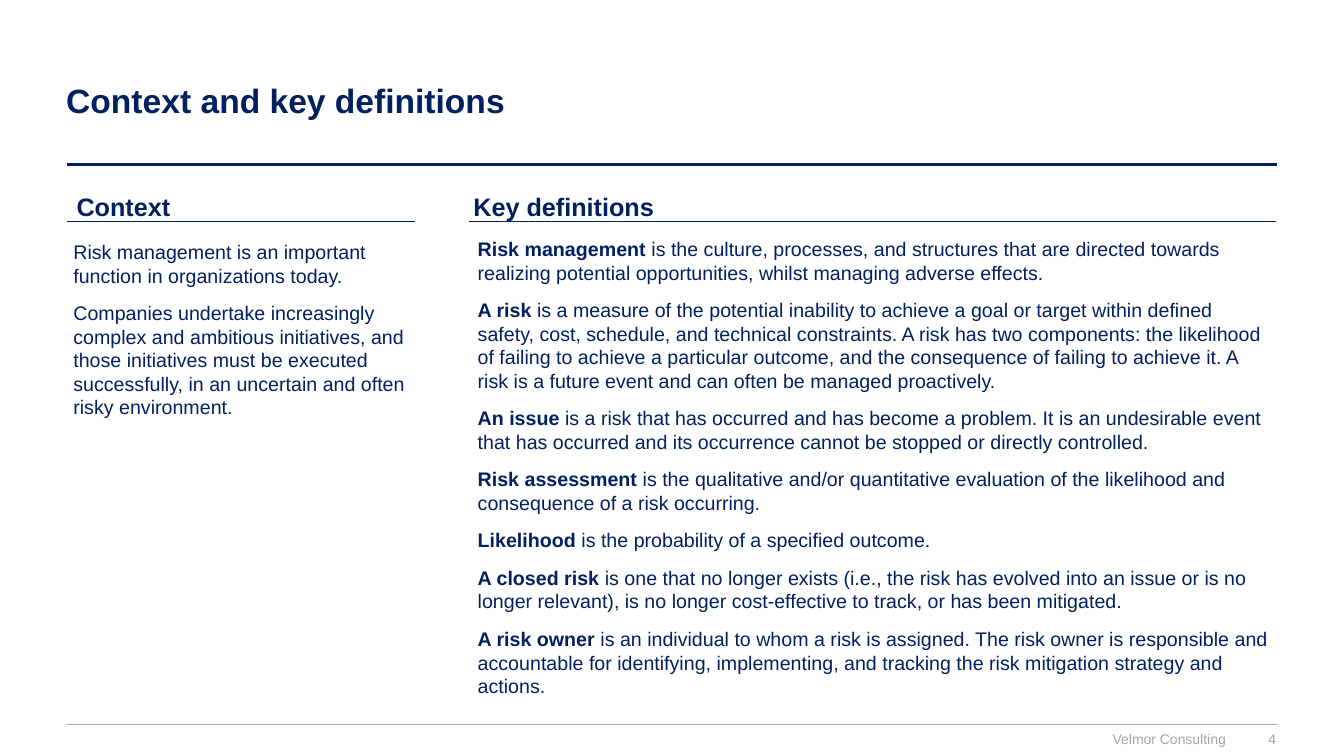
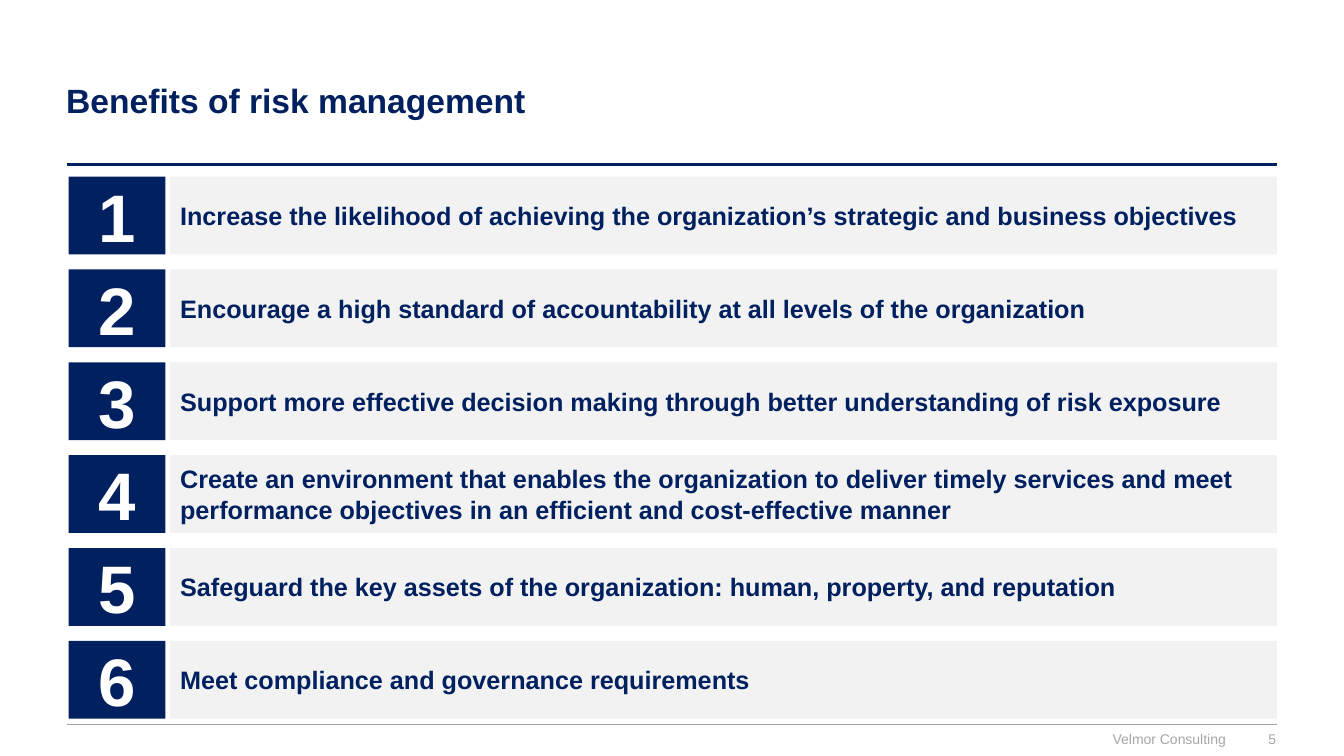
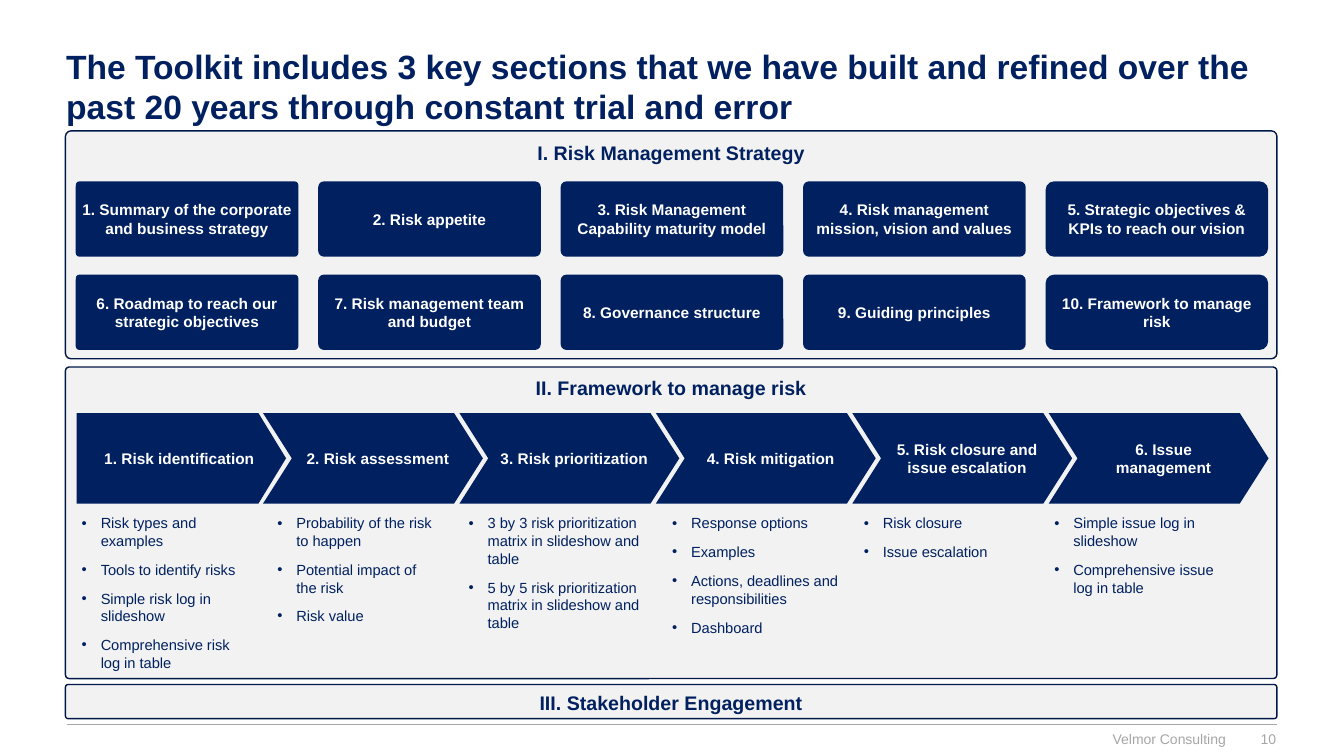
from lxml.etree import SubElement
from pptx import Presentation
from pptx.dml.color import RGBColor
from pptx.enum.shapes import MSO_CONNECTOR, MSO_SHAPE as SHAPE
from pptx.enum.text import MSO_ANCHOR as ANCHOR, PP_ALIGN as ALIGN
from pptx.oxml.ns import qn
from pptx.util import Cm, Pt

FONT = "Arial"
COLORS = {"navy": "002060", "edge": "001847", "pale": "F2F2F2", "gray": "A6A6A6", "white": "FFFFFF"}
LEFT, RIGHT = 1.68, 32.18
FIRM = "Velmor Consulting"

CONTEXT = [
    "Risk management is an important function in organizations today.",
    "Companies undertake increasingly complex and ambitious initiatives, and those initiatives "
    "must be executed successfully, in an uncertain and often risky environment.",
]
TERMS = [
    ("Risk management", "is the culture, processes, and structures that are directed towards "
     "realizing potential opportunities, whilst managing adverse effects."),
    ("A risk", "is a measure of the potential inability to achieve a goal or target within defined "
     "safety, cost, schedule, and technical constraints. A risk has two components: the likelihood "
     "of failing to achieve a particular outcome, and the consequence of failing to achieve it. "
     "A risk is a future event and can often be managed proactively."),
    ("An issue", "is a risk that has occurred and has become a problem. It is an undesirable event "
     "that has occurred and its occurrence cannot be stopped or directly controlled."),
    ("Risk assessment", "is the qualitative and/or quantitative evaluation of the likelihood and "
     "consequence of a risk occurring."),
    ("Likelihood", "is the probability of a specified outcome."),
    ("A closed risk", "is one that no longer exists (i.e., the risk has evolved into an issue or is "
     "no longer relevant), is no longer cost-effective to track, or has been mitigated."),
    ("A risk owner", "is an individual to whom a risk is assigned. The risk owner is responsible and "
     "accountable for identifying, implementing, and tracking the risk mitigation strategy and actions."),
]
BENEFITS = [
    "Increase the likelihood of achieving the organization’s strategic and business objectives",
    "Encourage a high standard of accountability at all levels of the organization",
    "Support more effective decision making through better understanding of risk exposure",
    "Create an environment that enables the organization to deliver timely services and meet "
    "performance objectives in an efficient and cost-effective manner",
    "Safeguard the key assets of the organization: human, property, and reputation",
    "Meet compliance and governance requirements",
]
# Title, top, height, corner
PANELS = [
    ("I. Risk Management Strategy", 3.3, 5.74, 0.024),
    ("II. Framework to manage risk", 9.25, 7.85, 0.012),
    ("III. Stakeholder Engagement", 17.25, 0.86, 0.081),
]
TOOLS = [
    "Summary of the corporate and business strategy", "Risk appetite",
    "Risk Management Capability maturity model", "Risk management mission, vision and values",
    "Strategic objectives & KPIs to reach our vision", "Roadmap to reach our strategic objectives",
    "Risk management team and budget", "Governance structure", "Guiding principles",
    "Framework to manage risk",
]
CORNERS = [0.051, 0.077, 0.077, 0.077, 0.115]
# Step, left and width of its list, list
STEPS = [
    ("Risk identification", 2.06, 4.45, ["Risk types and examples", "Tools to identify risks",
     "Simple risk log in slideshow", "Comprehensive risk log in table"]),
    ("Risk assessment", 6.99, 4.34, ["Probability of the risk to happen",
     "Potential impact of the risk", "Risk value"]),
    ("Risk prioritization", 11.81, 4.62, [f"{n} by {n} risk prioritization matrix in slideshow and table"
                                         for n in (3, 5)]),
    ("Risk mitigation", 16.94, 4.5, ["Response options", "Examples",
     "Actions, deadlines and responsibilities", "Dashboard"]),
    ("Risk closure and issue escalation", 21.77, 4.5, ["Risk closure", "Issue escalation"]),
    ("Issue management", 26.57, 4.6, ["Simple issue log in slideshow",
     "Comprehensive issue log in table"]),
]


def color(name):
    return RGBColor.from_string(COLORS[name])


def write(shape, paras, size, ink="navy", bold=False, align=ALIGN.LEFT, anchor=ANCHOR.TOP,
          pad=(0.25, 0.13, 0.25, 0.13), gap=0, bullet=False):
    """Fill a shape with paragraphs; a (lead, rest) pair gets a bold lead."""
    frame = shape.text_frame
    frame.word_wrap, frame.vertical_anchor = True, anchor
    for side, inset in zip(("left", "top", "right", "bottom"), pad):
        setattr(frame, "margin_" + side, Cm(inset))
    for i, item in enumerate(paras):
        para = frame.add_paragraph() if i else frame.paragraphs[0]
        para.alignment = align
        if i and gap:
            para.space_before = Pt(gap)
        if bullet:
            props = para._p.get_or_add_pPr()
            props.set("marL", str(Cm(0.48)))
            props.set("indent", str(-Cm(0.48)))
            SubElement(props, qn("a:buFont")).set("typeface", FONT)
            SubElement(props, qn("a:buChar")).set("char", "•")
        runs = [(item, bold)] if isinstance(item, str) else [(item[0] + " ", True), (item[1], False)]
        for text, heavy in runs:
            run = para.add_run()
            run.text = text
            look = {"name": FONT, "size": Pt(size), "bold": heavy}
            for key, value in look.items():
                setattr(run.font, key, value)
            run.font.color.rgb = color(ink)


def label(slide, box, paras, size, **style):
    write(slide.shapes.add_textbox(*map(Cm, box)), paras, size, **style)


def block(slide, kind, box, fill, text, size, edge=None, adj=None, **style):
    shape = slide.shapes.add_shape(kind, *map(Cm, box))
    shape.shadow.inherit = False
    shape.fill.solid()
    shape.fill.fore_color.rgb = color(fill)
    if edge:
        shape.line.color.rgb = color(edge)
        shape.line.width = Pt(1)
    else:
        shape.line.fill.background()
    if adj is not None:
        shape.adjustments[0] = adj
    write(shape, [text], size, bold=True, **style)


def rule(slide, x1, x2, y, ink, width):
    line = slide.shapes.add_connector(MSO_CONNECTOR.STRAIGHT, Cm(x1), Cm(y), Cm(x2), Cm(y))
    line.line.color.rgb = color(ink)
    line.line.width = Pt(width)
    SubElement(line._element.spPr, qn("a:effectLst"))


def start(deck, title, number, anchor=ANCHOR.MIDDLE):
    """Add a slide with its title, rules and footer."""
    slide = deck.slides.add_slide(deck.slide_layouts[6])
    rule(slide, LEFT, RIGHT, 4.14, "navy", 2)
    rule(slide, LEFT, RIGHT, 18.26, "gray", 1)
    label(slide, (1.42, 1.02, 30.76, 3), [title], 24, bold=True, anchor=anchor)
    foot = {"ink": "gray", "align": ALIGN.RIGHT, "pad": (0, 0, 0, 0)}
    label(slide, (23.93, 18.42, 6.96, 0.43), [FIRM], 10, **foot)
    label(slide, (31.17, 18.36, 0.99, 0.53), [str(number)], 10, anchor=ANCHOR.MIDDLE, **foot)
    return slide


def define(deck):
    slide = start(deck, "Context and key definitions", 4)
    for head, x, left, right in (("Context", 1.68, 1.7, 10.46), ("Key definitions", 11.68, 11.81, 32.16)):
        rule(slide, left, right, 5.59, "navy", 0.5)
        label(slide, (x, 4.68, right - x, 1.02), [head], 18, bold=True)
    label(slide, (1.6, 5.92, 8.92, 5.74), CONTEXT, 14, gap=10)
    label(slide, (11.79, 5.84, 20.49, 11.96), TERMS, 14, gap=10)


def benefit(deck):
    slide = start(deck, "Benefits of risk management", 5)
    for i, text in enumerate(BENEFITS):
        top = 4.45 + 2.34 * i
        block(slide, SHAPE.RECTANGLE, (1.73, top, 2.44, 1.96), "navy", str(i + 1), 48,
              ink="white", align=ALIGN.CENTER, anchor=ANCHOR.MIDDLE)
        block(slide, SHAPE.RECTANGLE, (4.29, top, 27.89, 1.96), "pale", text, 18, anchor=ANCHOR.MIDDLE)


def toolkit(deck):
    slide = start(deck, "The Toolkit includes 3 key sections that we have built and refined over the "
                  "past 20 years through constant trial and error", 10, ANCHOR.TOP)
    for text, top, high, adj in PANELS:
        inset = 0.2 if high > 1 else 0.13
        block(slide, SHAPE.ROUNDED_RECTANGLE, (1.65, top, 30.53, high), "pale", text, 14, edge="edge",
              adj=adj, align=ALIGN.CENTER, pad=(0.25, inset, 0.25, 0.13))
    tile = {"ink": "white", "align": ALIGN.CENTER, "anchor": ANCHOR.MIDDLE}
    for i, text in enumerate(TOOLS):
        row, col = divmod(i, 5)
        block(slide, SHAPE.ROUNDED_RECTANGLE, (1.91 + 6.11 * col, 4.57 + 2.35 * row, 5.61, 1.9), "navy",
              f"{i + 1}. {text}", 11, adj=CORNERS[col], pad=(0.1, 0.13, 0.1, 0.13), **tile)
    for i, (step, left, width, items) in enumerate(STEPS):
        kind, x, wide, adj = ((SHAPE.CHEVRON, 1.68 + 4.95 * i, 5.54, 0.318) if i
                              else (SHAPE.PENTAGON, 1.93, 5.28, 0.305))
        block(slide, kind, (x, 10.41, wide, 2.28), "navy", f"{i + 1}. {step}", 11, adj=adj,
              pad=(0.25, 0.13, 0, 0.13), **tile)
        label(slide, (left, 12.83, width, 4.2), items, 10.5, gap=8, bullet=True,
              pad=(0, 0.13, 0.25, 0.13))


def main():
    deck = Presentation()
    deck.slide_width, deck.slide_height = Cm(33.87), Cm(19.05)
    for build in (define, benefit, toolkit):
        build(deck)
    deck.save("out.pptx")


if __name__ == "__main__":
    main()
